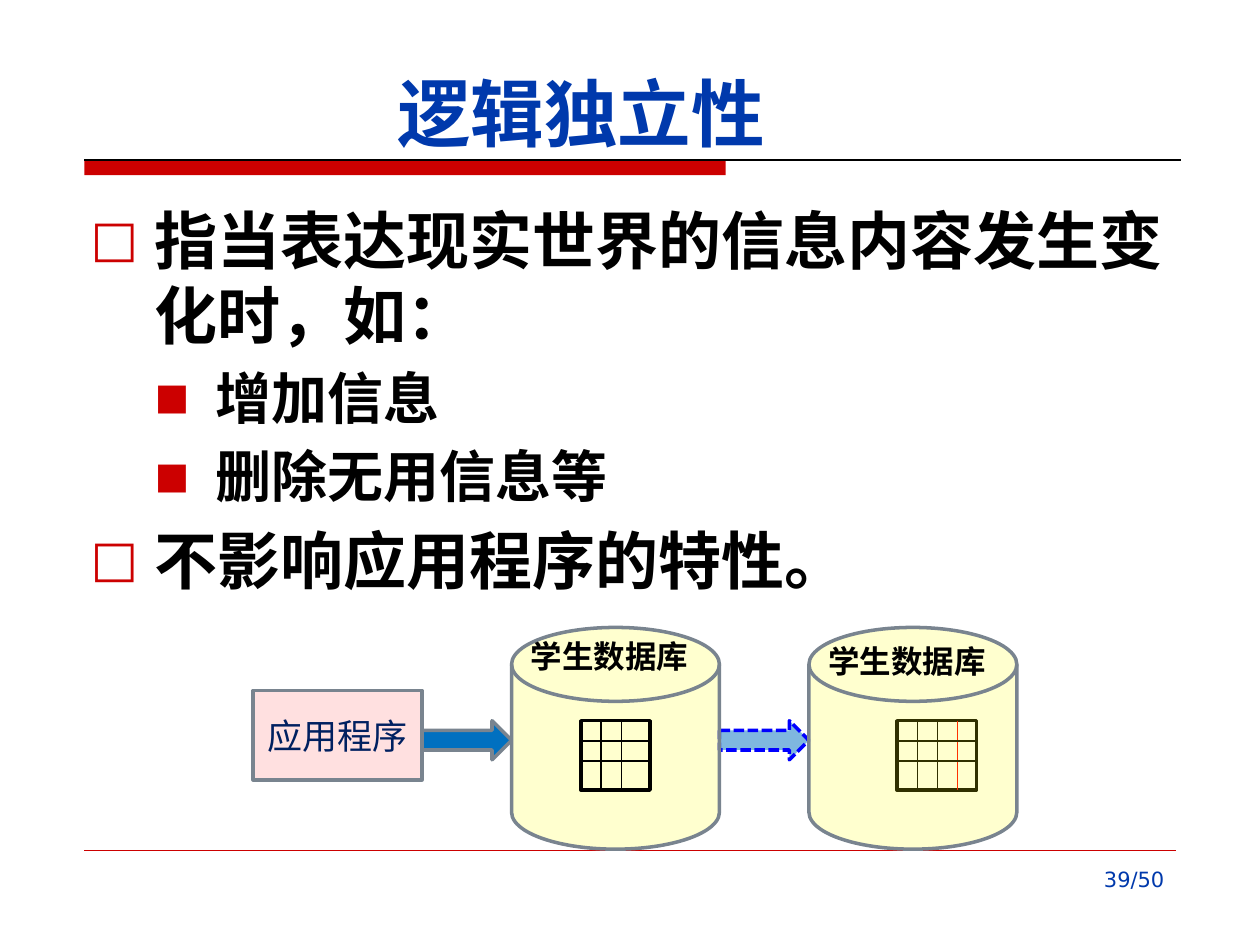
"""Build the slide on logical data independence."""
from dataclasses import dataclass

from lxml import etree
from pptx import Presentation
from pptx.dml.color import RGBColor
from pptx.enum.dml import MSO_LINE
from pptx.enum.shapes import MSO_CONNECTOR, MSO_SHAPE
from pptx.enum.text import MSO_ANCHOR, PP_ALIGN
from pptx.oxml.ns import qn
from pptx.util import Inches, Pt

RECT, ARROW = MSO_SHAPE.RECTANGLE, MSO_SHAPE.RIGHT_ARROW
DISK, STRAIGHT = MSO_SHAPE.FLOWCHART_MAGNETIC_DISK, MSO_CONNECTOR.STRAIGHT
TOP, MIDDLE, BOTTOM = MSO_ANCHOR.TOP, MSO_ANCHOR.MIDDLE, MSO_ANCHOR.BOTTOM
LEFT, CENTER, RIGHT = PP_ALIGN.LEFT, PP_ALIGN.CENTER, PP_ALIGN.RIGHT
DASH = MSO_LINE.SQUARE_DOT


@dataclass(frozen=True)
class Theme:
    cjk: str = "Noto Sans CJK SC"
    latin: str = "DejaVu Sans"
    red: str = "CC0000"
    title: str = "0039AC"
    black: str = "000000"
    navy: str = "002060"
    pink: str = "FFC2C2"
    blue: str = "0070C0"
    yellow: str = "FFFF00"
    gray: str = "79848F"
    dash: str = "0000FF"
    added: str = "FF0000"
    title_size: int = 42
    app_size: int = 20
    label_size: int = 18
    page_size: int = 12


@dataclass(frozen=True)
class Level:
    size: int
    line: float
    margin: float
    indent: float
    bullet: str
    bullet_pct: int


@dataclass(frozen=True)
class Database:
    left: float
    label_top: float
    grid_left: float
    grid_width: float
    columns: int
    grid_in_front: bool


T = Theme()
LEVELS = (Level(36, 43, 0.51, -0.51, "□", 80), Level(32, 38.5, 0.99, -0.48, "■", 65))
BODY = (
    (0, "指当表达现实世界的信息内容发生变化时，如："),
    (1, "增加信息"),
    (1, "删除无用信息等"),
    (0, "不影响应用程序的特性。"),
)
DATABASES = (
    Database(4.06, 4.93, 4.61, 0.55, 3, True),
    Database(6.42, 4.97, 7.12, 0.63, 4, False),
)
GRID_TOP, GRID_HEIGHT, GRID_STEP, GRID_ROWS = 5.72, 0.55, 0.16, 3


def rgb(color: str) -> RGBColor:
    return RGBColor.from_string(color)


def add_run(p, text: str, size: float, color: str, bold: bool = False, font: str = T.cjk) -> None:
    r = p.add_run()
    r.text = text
    r.font.size, r.font.bold, r.font.name = Pt(size), bold, font
    r.font.color.rgb = rgb(color)
    ea = etree.SubElement(r.font._element, qn("a:ea"))
    ea.set("typeface", font)


def add_box(shapes, x: float, y: float, w: float, h: float, anchor=TOP):
    tf = shapes.add_textbox(Inches(x), Inches(y), Inches(w), Inches(h)).text_frame
    tf.word_wrap, tf.vertical_anchor = True, anchor
    return tf


def add_text(tf, text: str, size: float, color: str, align, bold: bool = False,
             font: str = T.cjk) -> None:
    p = tf.paragraphs[0]
    p.alignment = align
    add_run(p, text, size, color, bold, font)


def add_bullet(p, level: Level) -> None:
    ppr = p._p.get_or_add_pPr()
    ppr.set("marL", str(Inches(level.margin)))
    ppr.set("indent", str(Inches(level.indent)))
    color = etree.SubElement(ppr, qn("a:buClr"))
    etree.SubElement(color, qn("a:srgbClr")).set("val", T.red)
    etree.SubElement(ppr, qn("a:buSzPct")).set("val", str(level.bullet_pct * 1000))
    etree.SubElement(ppr, qn("a:buFont")).set("typeface", T.latin)
    etree.SubElement(ppr, qn("a:buChar")).set("char", level.bullet)


def add_shape(shapes, kind, x: float, y: float, w: float, h: float, fill: str | None = None,
              line: str | None = T.gray, alpha: int = 100, dash=None):
    sp = shapes.add_shape(kind, Inches(x), Inches(y), Inches(w), Inches(h))
    sp.shadow.inherit = False
    if fill:
        sp.fill.solid()
        sp.fill.fore_color.rgb = rgb(fill)
        if alpha < 100:
            color = sp._element.spPr.find(qn("a:solidFill"))[0]
            etree.SubElement(color, qn("a:alpha")).set("val", str(alpha * 1000))
    else:
        sp.fill.background()
    if line:
        sp.line.color.rgb, sp.line.width = rgb(line), Pt(2)
        if dash:
            sp.line.dash_style = dash
    else:
        sp.line.fill.background()
    return sp


def add_line(shapes, x1: float, y1: float, x2: float, y2: float, color: str = T.black,
             width: float = 0.75) -> None:
    ln = shapes.add_connector(STRAIGHT, Inches(x1), Inches(y1), Inches(x2), Inches(y2))
    ln.line.color.rgb, ln.line.width = rgb(color), Pt(width)
    etree.SubElement(ln._element.spPr, qn("a:effectLst"))


def add_grid(shapes, db: Database) -> None:
    right, bottom = db.grid_left + db.grid_width, GRID_TOP + GRID_HEIGHT
    add_shape(shapes, RECT, db.grid_left, GRID_TOP, db.grid_width, GRID_HEIGHT, line=T.black)
    for i in range(1, db.columns):
        x = db.grid_left + i * GRID_STEP
        add_line(shapes, x, GRID_TOP, x, bottom, T.added if i == 3 else T.black)
    for i in range(1, GRID_ROWS):
        y = GRID_TOP + i * GRID_STEP
        add_line(shapes, db.grid_left, y, right, y)


def add_database(shapes, db: Database) -> None:
    group = shapes.add_group_shape().shapes
    if not db.grid_in_front:
        add_grid(group, db)
    add_shape(group, DISK, db.left, 4.98, 1.65, 1.76, T.yellow, alpha=19)
    tf = add_box(group, db.left + 0.02, db.label_top, 1.57, 0.55, MIDDLE)
    add_text(tf, "学生数据库 ", T.label_size, T.black, CENTER, True)
    if db.grid_in_front:
        add_grid(group, db)


def main() -> None:
    prs = Presentation()
    prs.slide_width, prs.slide_height = Inches(10), Inches(7.5)
    shapes = prs.slides.add_slide(prs.slide_layouts[6]).shapes

    add_shape(shapes, RECT, 0.67, 1.27, 5.09, 0.12, T.red, None)
    add_line(shapes, 0.67, 1.27, 9.37, 1.27)
    add_line(shapes, 0.67, 6.75, 9.33, 6.75, T.red, 0.25)
    title = add_box(shapes, 0.39, 0.39, 8.44, 0.9, BOTTOM)
    add_text(title, "逻辑独立性", T.title_size, T.title, CENTER, True)

    tf = add_box(shapes, 0.62, 1.55, 8.75, 3.46)
    for i, (depth, text) in enumerate(BODY):
        level = LEVELS[depth]
        p = tf.add_paragraph() if i else tf.paragraphs[0]
        p.level, p.alignment = depth, LEFT
        p.line_spacing, p.space_before = Pt(level.line), Pt(level.size * 0.2)
        add_bullet(p, level)
        add_run(p, text, level.size, T.black, True)

    app = add_shape(shapes, RECT, 2.01, 5.48, 1.34, 0.71, T.pink, alpha=50).text_frame
    app.word_wrap, app.vertical_anchor = True, MIDDLE
    add_text(app, "应用程序", T.app_size, T.navy, CENTER)
    add_shape(shapes, ARROW, 3.35, 5.72, 0.71, 0.31, T.blue)
    add_shape(shapes, ARROW, 5.71, 5.72, 0.71, 0.31, T.blue, T.dash, 50, DASH)
    for db in DATABASES:
        add_database(shapes, db)

    page = add_box(shapes, 7.17, 6.83, 2.17, 0.52)
    add_text(page, "39/50", T.page_size, T.title, RIGHT, font=T.latin)
    prs.save("out.pptx")


if __name__ == "__main__":
    main()
